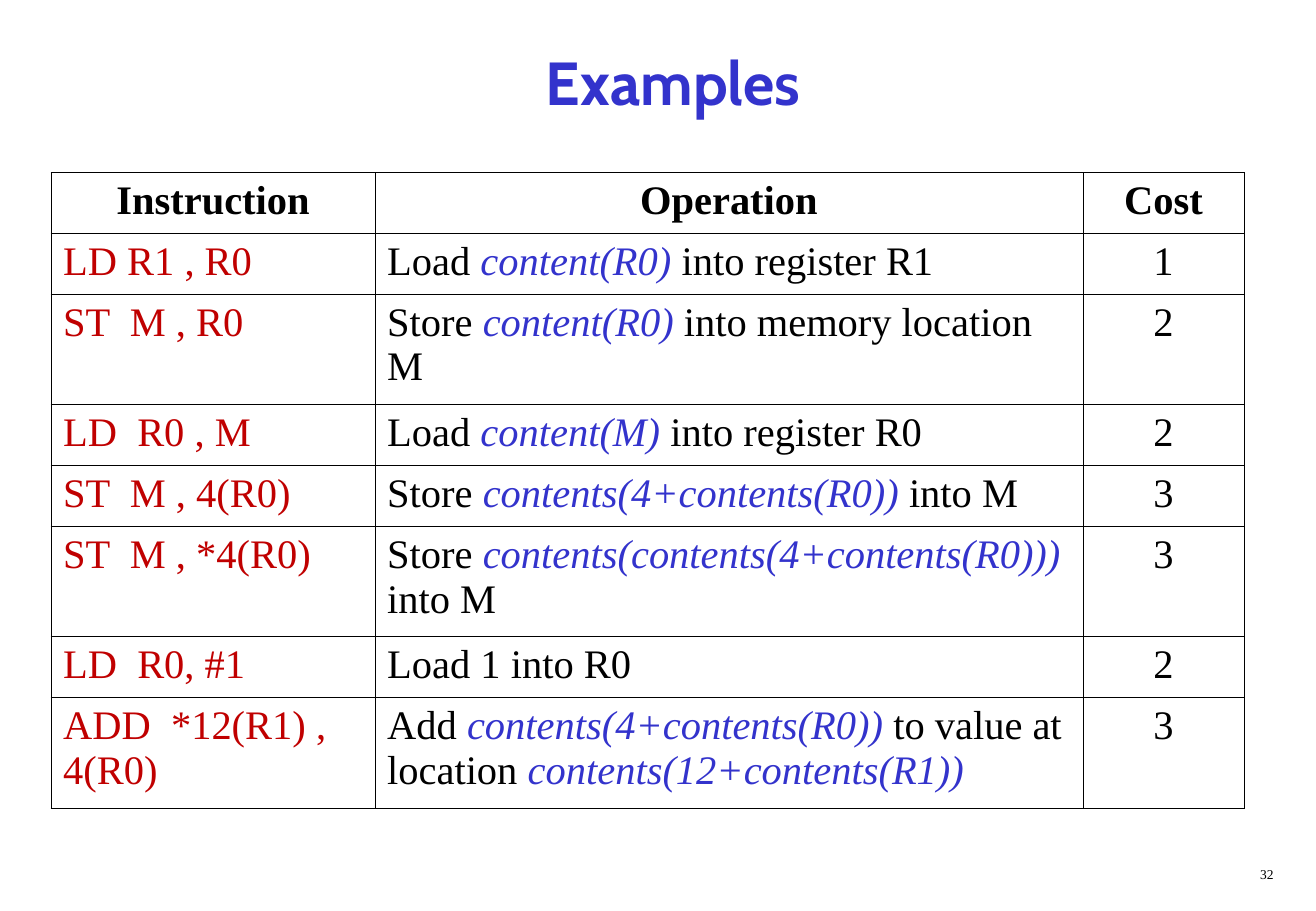
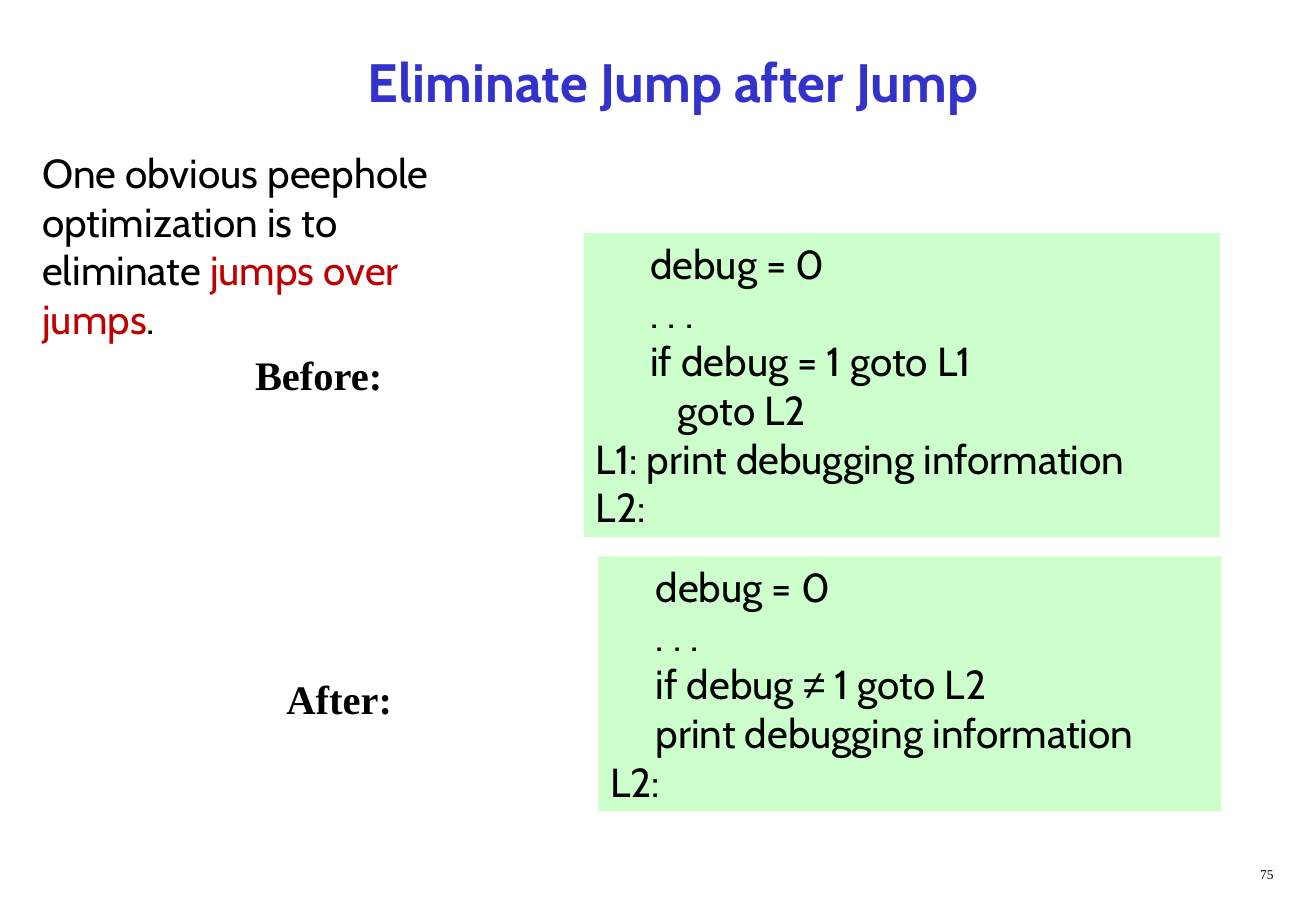
from dataclasses import dataclass
from typing import NamedTuple

from lxml import etree
from pptx import Presentation
from pptx.dml.color import RGBColor
from pptx.enum.shapes import MSO_SHAPE
from pptx.enum.text import MSO_ANCHOR, PP_ALIGN
from pptx.oxml.ns import qn
from pptx.util import Emu, Pt

PX = 9144
SLIDE_W, SLIDE_H = 1084, 750
LEFT, CENTER, RIGHT = PP_ALIGN.LEFT, PP_ALIGN.CENTER, PP_ALIGN.RIGHT
TOP, MIDDLE = MSO_ANCHOR.TOP, MSO_ANCHOR.MIDDLE
RECT = MSO_SHAPE.RECTANGLE
SANS, SERIF, SYMBOL = "Cabin", "Times New Roman", "Arial"
COLORS = {
    "ink": "000000",
    "blue": "3333CC",
    "red": "C00000",
    "green": "CCFFCC",
}
BORDER_PT = 0.45


class Box(NamedTuple):
    x: int
    y: int
    w: int
    h: int


class Run(NamedTuple):
    text: str
    color: str = ""
    italic: bool = False
    font: str = ""


Line = list[Run]


@dataclass(frozen=True)
class Style:
    size: int = 24
    font: str = SANS
    color: str = "ink"
    bold: bool = False
    align: PP_ALIGN = LEFT


@dataclass(frozen=True)
class Instruction:
    code: str
    operation: list[Line]
    cost: int
    height: int = 50


@dataclass(frozen=True)
class Example:
    label: str
    label_box: Box
    panel_box: Box
    code: list[Line]


TITLE_BOX = Box(42, 17, 1025, 100)
NUMBER_BOX = Box(833, 708, 226, 25)
INTRO_BOX = Box(25, 117, 383, 210)
NUMBER = Style(8, SERIF, align=RIGHT)
LABEL = Style(font=SERIF, bold=True, align=CENTER)
CODE_CELL = Style(font=SERIF, color="red")
TEXT_CELL = Style(font=SERIF)
COST_CELL = Style(font=SERIF, align=CENTER)


def plain(*texts: str) -> list[Line]:
    return [[Run(text)] for text in texts]


def value(text: str) -> Run:
    return Run(text, "blue", True)


HEADINGS = ("Instruction", "Operation", "Cost")
COLUMNS = (267, 583, 133)
HEADER_HEIGHT, TALL = 50, 91
INSTRUCTIONS = [
    Instruction("LD R1 , R0", [[Run("Load "), value("content(R0) "), Run("into register R1")]], 1),
    Instruction("ST  M , R0",
                [[Run("Store "), value("content(R0) "), Run("into memory location M")]], 2, TALL),
    Instruction("LD  R0 , M", [[Run("Load "), value("content(M) "), Run("into register R0")]], 2),
    Instruction("ST  M , 4(R0)",
                [[Run("Store "), value("contents(4+contents(R0)) "), Run("into M")]], 3),
    Instruction("ST  M , *4(R0)",
                [[Run("Store "), value("contents(contents(4+contents(R0)))")], [Run("into M")]],
                3, TALL),
    Instruction("LD  R0, #1", plain("Load 1 into R0"), 2),
    Instruction("ADD  *12(R1) ,  4(R0)",
                [[Run("Add "), value("contents(4+contents(R0)) "),
                  Run("to value at location "), value("contents(12+contents(R1))")]], 3, TALL),
]
EXAMPLES = [
    Example("Before:", Box(200, 283, 125, 50), Box(481, 192, 524, 250),
            plain("      debug = 0", "      . . .", "      if debug = 1 goto L1",
                  "         goto L2", "L1: print debugging information", "L2:")),
    Example("After:", Box(226, 550, 107, 50), Box(493, 458, 513, 210),
            plain("     debug = 0", "     . . .")
            + [[Run("     if debug "), Run("≠", font=SYMBOL), Run(" 1 goto L2")]]
            + plain("     print debugging information", "L2:")),
]


def rgb(name: str) -> RGBColor:
    return RGBColor.from_string(COLORS[name])


def emu(box: Box) -> list[Emu]:
    return [Emu(v * PX) for v in box]


def write(tf, lines: list[Line], style: Style) -> None:
    for i, line in enumerate(lines):
        p = tf.add_paragraph() if i else tf.paragraphs[0]
        p.alignment = style.align
        p.font.size = Pt(style.size)
        p.font.name = style.font
        p.font.bold = style.bold
        p.font.color.rgb = rgb(style.color)
        for run in line:
            r = p.add_run()
            r.text = run.text
            if run.color:
                r.font.color.rgb = rgb(run.color)
            if run.italic:
                r.font.italic = True
            if run.font:
                r.font.name = run.font


def add_text(s, box: Box, lines: list[Line], style: Style,
             anchor: MSO_ANCHOR = TOP, wrap: bool = True) -> None:
    tf = s.shapes.add_textbox(*emu(box)).text_frame
    tf.word_wrap = wrap
    tf.vertical_anchor = anchor
    write(tf, lines, style)


def add_panel(s, box: Box, lines: list[Line]) -> None:
    sp = s.shapes.add_shape(RECT, *emu(box))
    sp.shadow.inherit = False
    sp.fill.solid()
    sp.fill.fore_color.rgb = rgb("green")
    sp.line.fill.background()
    tf = sp.text_frame
    tf.word_wrap = True
    tf.vertical_anchor = TOP
    write(tf, lines, Style())


def add_borders(cell) -> None:
    tc_pr = cell._tc.get_or_add_tcPr()
    for i, side in enumerate(("a:lnL", "a:lnR", "a:lnT", "a:lnB")):
        ln = etree.Element(qn(side), w=str(Pt(BORDER_PT)))
        fill = etree.SubElement(ln, qn("a:solidFill"))
        etree.SubElement(fill, qn("a:srgbClr"), val=COLORS["ink"])
        tc_pr.insert(i, ln)


def add_instruction_table(s, x: int, y: int) -> None:
    heights = [HEADER_HEIGHT] + [ins.height for ins in INSTRUCTIONS]
    box = Box(x, y, sum(COLUMNS), sum(heights))
    table = s.shapes.add_table(len(heights), len(COLUMNS), *emu(box)).table
    table.first_row = False
    table.horz_banding = False
    for column, width in zip(table.columns, COLUMNS):
        column.width = Emu(width * PX)
    rows = [[(plain(heading), LABEL) for heading in HEADINGS]]
    for ins in INSTRUCTIONS:
        rows.append([(plain(ins.code), CODE_CELL), (ins.operation, TEXT_CELL),
                     (plain(str(ins.cost)), COST_CELL)])
    for row, height, contents in zip(table.rows, heights, rows):
        row.height = Emu(height * PX)
        for cell, (lines, style) in zip(row.cells, contents):
            cell.fill.background()
            add_borders(cell)
            write(cell.text_frame, lines, style)


def add_slide(prs, title: str, title_size: int, number: int):
    s = prs.slides.add_slide(prs.slide_layouts[6])
    add_text(s, TITLE_BOX, plain(title),
             Style(title_size, color="blue", bold=True, align=CENTER), MIDDLE)
    add_text(s, NUMBER_BOX, plain(str(number)), NUMBER)
    return s


def build_examples(prs) -> None:
    s = add_slide(prs, "Examples", 36, 32)
    add_instruction_table(s, 42, 142)


def build_jumps(prs) -> None:
    s = add_slide(prs, "Eliminate Jump after Jump", 32, 75)
    for ex in EXAMPLES:
        add_panel(s, ex.panel_box, ex.code)
        add_text(s, ex.label_box, plain(ex.label), LABEL, wrap=False)
    intro = [Run("One obvious peephole optimization is to eliminate "),
             Run("jumps over jumps", "red"), Run(".")]
    add_text(s, INTRO_BOX, [intro], Style())


def main() -> None:
    prs = Presentation()
    prs.slide_width, prs.slide_height = Emu(SLIDE_W * PX), Emu(SLIDE_H * PX)
    build_examples(prs)
    build_jumps(prs)
    prs.save("out.pptx")


if __name__ == "__main__":
    main()
